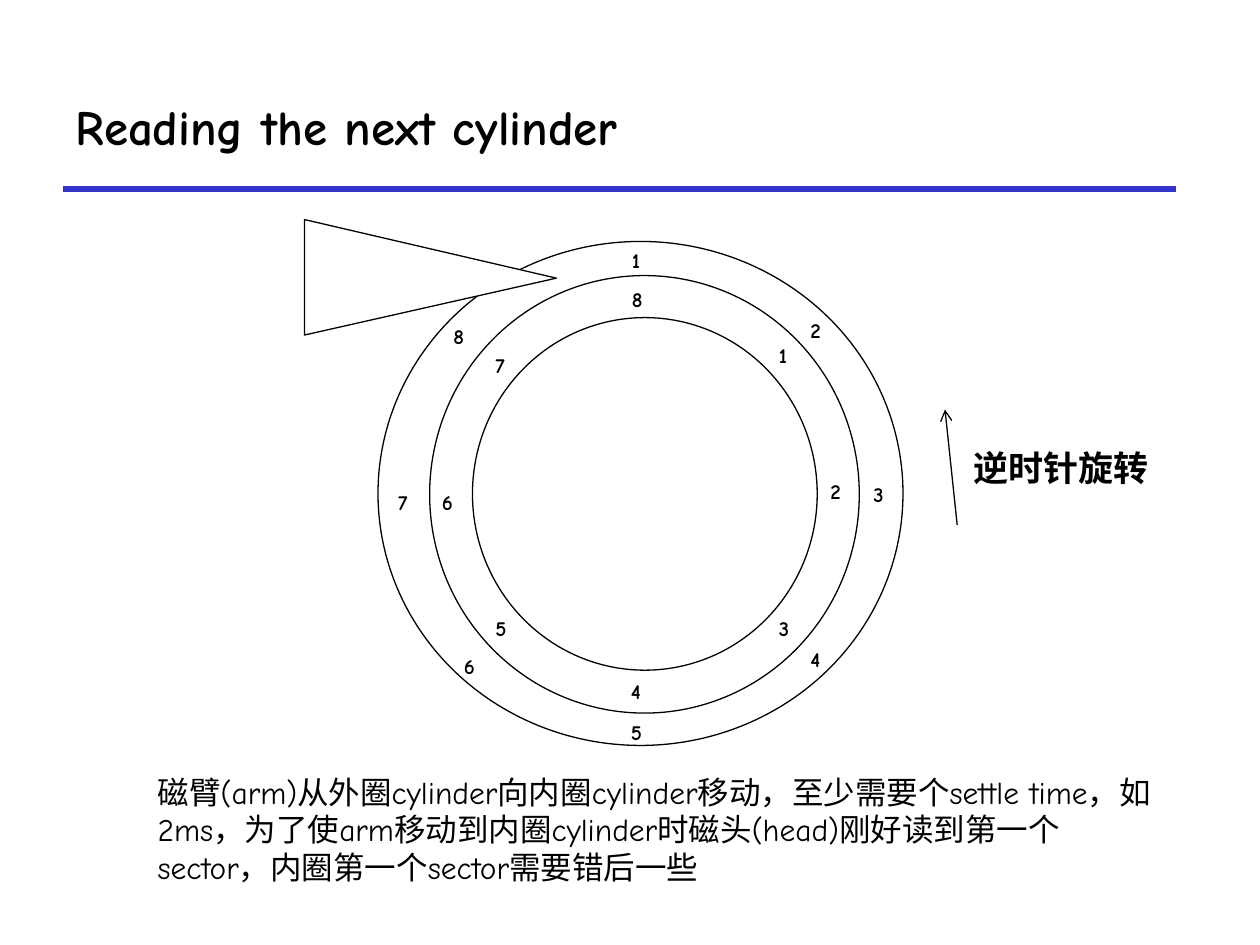
from typing import NamedTuple

from lxml.etree import SubElement
from pptx import Presentation
from pptx.dml.color import RGBColor
from pptx.enum.shapes import MSO_CONNECTOR as Connector, MSO_SHAPE as Shape
from pptx.enum.text import MSO_ANCHOR as Anchor, PP_ALIGN as Align
from pptx.oxml.ns import qn
from pptx.util import Pt

FONT = "Comic Neue"
BLACK, WHITE, BLUE = "000000", "FFFFFF", "3333CC"


class Box(NamedTuple):
    left: float
    top: float
    width: float
    height: float


class Track(NamedTuple):
    """Top-left corners of the sector labels, from sector 1 onwards."""
    corners: list[tuple[float, float]]


RINGS = [
    Box(216, 138, 300, 288),
    Box(245.5, 157.5, 245.5, 250),
    Box(270, 181.5, 197, 201.5),
]
INNER_TRACK = Track([
    (438, 192), (467.5, 270), (438, 348), (353.5, 384),
    (276, 348), (245.5, 276), (276, 198), (354, 160),
])
OUTER_TRACK = Track([
    (354, 138), (456, 178), (492, 271.5), (456, 366),
    (353.5, 407.5), (258, 370), (220.5, 276), (252, 181.5),
])


def color(value: str) -> RGBColor:
    return RGBColor.from_string(value)


def outline(shape) -> None:
    shape.shadow.inherit = False
    shape.fill.solid()
    shape.fill.fore_color.rgb = color(WHITE)
    shape.line.color.rgb = color(BLACK)
    shape.line.width = Pt(0.75)


def write(shape, text: str, size: float, bold: bool) -> None:
    frame = shape.text_frame
    frame.word_wrap = True
    frame.text = text
    paragraph = frame.paragraphs[0]
    paragraph.alignment = Align.LEFT
    font = paragraph.font
    font.name, font.size, font.bold = FONT, Pt(size), bold
    font.color.rgb = color(BLACK)


def add_text(slide, box: Box, text: str, size: float, bold: bool = True) -> None:
    write(slide.shapes.add_textbox(*map(Pt, box)), text, size, bold)


def add_ring(slide, box: Box) -> None:
    outline(slide.shapes.add_shape(Shape.OVAL, *map(Pt, box)))


def add_track_labels(slide, track: Track) -> None:
    for number, (left, top) in enumerate(track.corners, start=1):
        add_text(slide, Box(left, top, 24.5, 21.5), str(number), 12)


def add_arm(slide) -> None:
    builder = slide.shapes.build_freeform(Pt(318), Pt(159))
    builder.add_line_segments([(Pt(174), Pt(125.5)), (Pt(174), Pt(191.5))], close=True)
    outline(builder.convert_to_shape())


def add_line(slide, start: tuple[float, float], end: tuple[float, float],
             value: str, width: float):
    line = slide.shapes.add_connector(
        Connector.STRAIGHT, *map(Pt, (*start, *end)))
    line.line.color.rgb = color(value)
    line.line.width = Pt(width)
    SubElement(line._element.spPr, qn("a:effectLst"))
    return line


def add_title(slide, text: str) -> None:
    title = slide.shapes.title
    title.left, title.top, title.width, title.height = map(Pt, Box(36, 36, 636, 72))
    write(title, text, 28, True)
    title.text_frame.vertical_anchor = Anchor.MIDDLE


def main() -> None:
    presentation = Presentation()
    presentation.slide_width, presentation.slide_height = Pt(720), Pt(540)
    slide = presentation.slides.add_slide(
        presentation.slide_layouts.get_by_name("Title Only"))

    add_line(slide, (36, 108), (672, 108), BLUE, 3)
    add_title(slide, "Reading the next cylinder")
    for ring in RINGS:
        add_ring(slide, ring)
    add_track_labels(slide, INNER_TRACK)
    add_arm(slide)
    rotation = add_line(slide, (547, 300), (540, 234), BLACK, 0.75)
    SubElement(rotation.line._get_or_add_ln(), qn("a:tailEnd"), type="arrow")
    add_text(slide, Box(549, 251.5, 123, 31.5), "逆时针旋转", 20)
    add_track_labels(slide, OUTER_TRACK)
    add_text(
        slide, Box(83, 438, 589, 72.5),
        "磁臂(arm)从外圈cylinder向内圈cylinder移动，至少需要个settle time，如2ms，"
        "为了使arm移动到内圈cylinder时磁头(head)刚好读到第一个sector，"
        "内圈第一个sector需要错后一些",
        18, bold=False)

    presentation.save("out.pptx")


if __name__ == "__main__":
    main()
